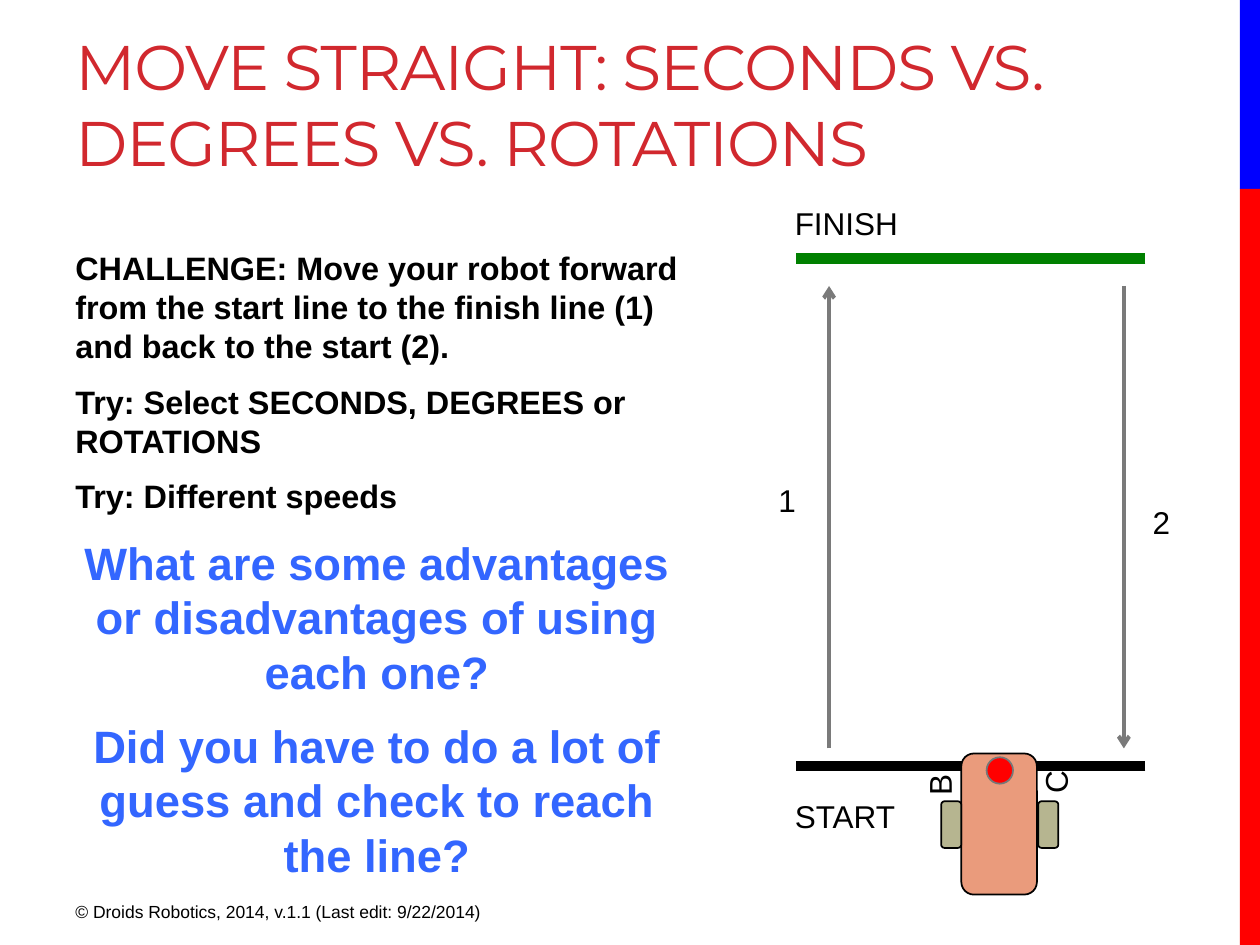
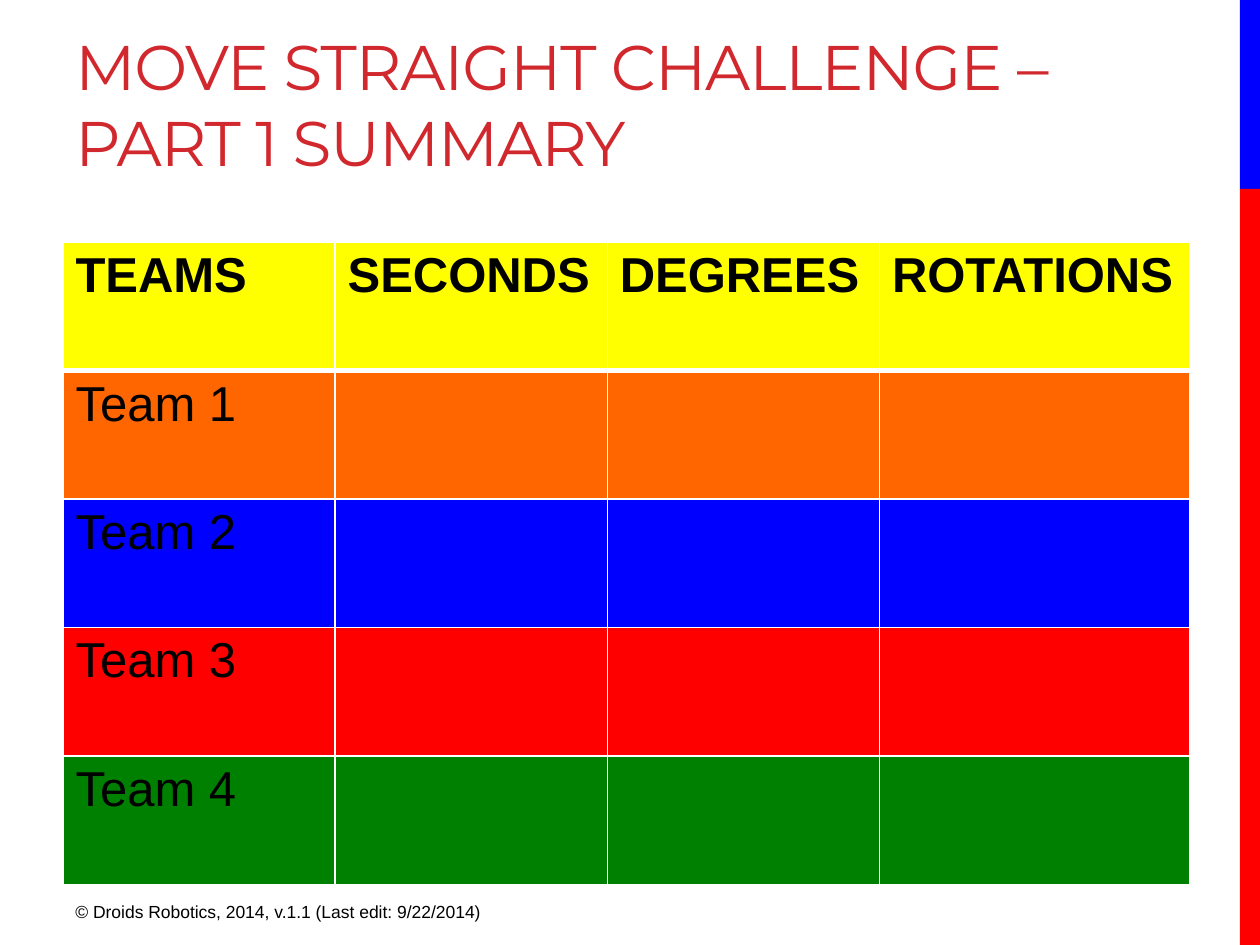
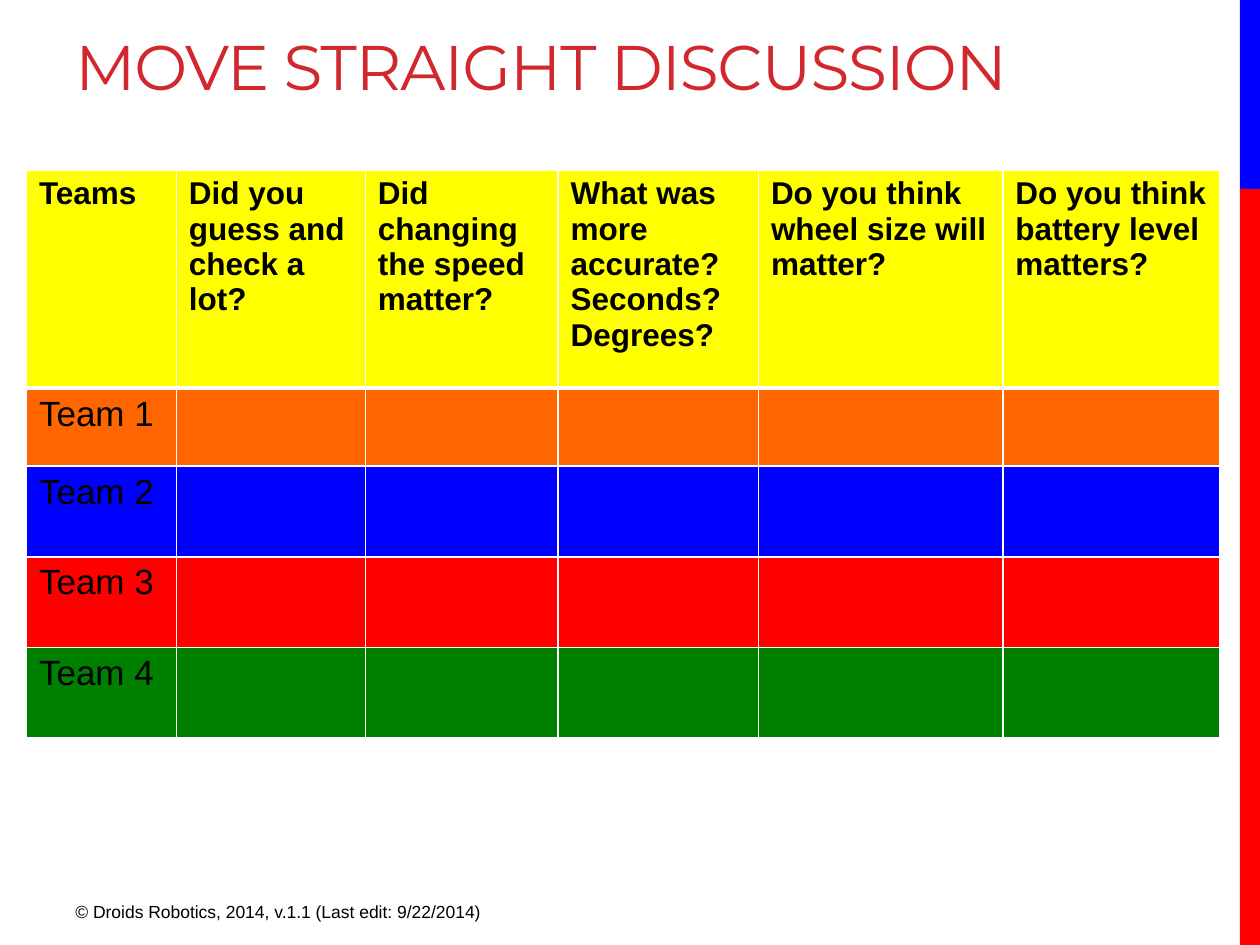
"""Build three slides on moving a robot straight: challenge, summary and discussion."""
import lxml.etree
import pptx
import pptx.dml.color
import pptx.enum.shapes
import pptx.enum.text
import pptx.oxml
import pptx.oxml.ns
import pptx.util

Inches = pptx.util.Inches
Pt = pptx.util.Pt
RGBColor = pptx.dml.color.RGBColor
SHAPE = pptx.enum.shapes.MSO_SHAPE
qn = pptx.oxml.ns.qn

BLACK = RGBColor(0x00, 0x00, 0x00)
WHITE = RGBColor(0xFF, 0xFF, 0xFF)
BLUE = RGBColor(0x00, 0x00, 0xFF)
RED = RGBColor(0xFF, 0x00, 0x00)
GREEN = RGBColor(0x00, 0x80, 0x00)
YELLOW = RGBColor(0xFF, 0xFF, 0x00)
ORANGE = RGBColor(0xFF, 0x66, 0x00)
TITLE_RED = RGBColor(0xD1, 0x28, 0x2E)
QUESTION_BLUE = RGBColor(0x33, 0x66, 0xFF)
ARROW_GRAY = RGBColor(0x7A, 0x7A, 0x7A)
SENSOR_GRAY = RGBColor(0x77, 0x77, 0x77)
BODY_SALMON = RGBColor(0xEA, 0x9B, 0x7C)
WHEEL_TAN = RGBColor(0xB6, 0xB5, 0x90)

TITLE = {"name": "Montserrat", "size": Pt(36), "color": TITLE_RED}
FOOTER = {"name": "Arial", "size": Pt(10), "color": BLACK}
LABEL = {"name": "Arial", "size": Pt(18), "color": BLACK}
TASK = {"name": "Arial", "size": Pt(18.5), "color": BLACK, "bold": True}
QUESTION = {"name": "Arial", "size": Pt(25.9), "color": QUESTION_BLUE, "bold": True}


def write(para, text, format_values):
    """Add a formatted run to a paragraph."""
    span = para.add_run()
    span.text = text
    for name, value in format_values.items():
        if name == "color":
            span.font.color.rgb = value
        else:
            setattr(span.font, name, value)
    return span


def add_block(shapes, at, kind=None, fill=None, line=None):
    """Add a wrapping text box, or a filled shape when a kind is given."""
    place = [Inches(length) for length in at]
    if kind is None:
        box = shapes.add_textbox(*place)
        box.text_frame.word_wrap = True
        return box
    box = shapes.add_shape(kind, *place)
    box.shadow.inherit = False
    box.fill.solid()
    box.fill.fore_color.rgb = fill
    if line is None:
        box.line.fill.background()
    else:
        box.line.color.rgb = line
        box.line.width = Pt(1)
    return box


deck = pptx.Presentation()
deck.slide_width = Inches(10)
deck.slide_height = Inches(7.5)

pages = []
for title in (
    "MOVE STRAIGHT: SECONDS VS. DEGREES VS. ROTATIONS",
    "MOVE STRAIGHT CHALLENGE – PART 1 SUMMARY",
    "MOVE STRAIGHT DISCUSSION",
):
    page = deck.slides.add_slide(deck.slide_layouts[6])
    add_block(page.shapes, (9.84, 0, 0.16, 1.5), SHAPE.RECTANGLE, BLUE)
    add_block(page.shapes, (9.84, 1.5, 0.16, 6), SHAPE.RECTANGLE, RED)
    box = add_block(page.shapes, (0.5, 0.17, 9.02, 1.5))
    span = write(box.text_frame.paragraphs[0], title, TITLE)
    span.font._element.set("spc", "-60")
    box = add_block(page.shapes, (0.5, 7.1, 3.75, 0.31))
    write(box.text_frame.paragraphs[0],
          "© Droids Robotics, 2014, v.1.1 (Last edit: 9/22/2014)", FOOTER)
    pages.append(page)

challenge, summary, discussion = pages

box = add_block(challenge.shapes, (0.5, 1.92, 4.98, 5.1))
body_lines = (
    ("CHALLENGE: Move your robot forward from the start line to the finish line (1) "
     "and back to the start (2).", TASK),
    ("Try: Select SECONDS, DEGREES or ROTATIONS", TASK),
    ("Try: Different speeds", TASK),
    ("What are some advantages or disadvantages of using each one?", QUESTION),
    ("Did you have to do a lot of guess and check to reach the line?", QUESTION),
)
for index, (text, style) in enumerate(body_lines):
    para = box.text_frame.paragraphs[0] if index == 0 else box.text_frame.add_paragraph()
    para.space_after = Pt(6)
    if index > 0:
        para.space_before = Pt(style["size"].pt * 0.2)
    if style is QUESTION:
        para.alignment = pptx.enum.text.PP_ALIGN.CENTER
    write(para, text, style)

for start_x, start_y, end_x, end_y, color, width, has_arrow in (
    (9.09, 2.05, 6.32, 2.05, GREEN, 6, False),
    (9.09, 6.08, 6.32, 6.08, BLACK, 6, False),
    (6.58, 5.94, 6.58, 2.27, ARROW_GRAY, 2.25, True),
    (8.92, 2.27, 8.92, 5.94, ARROW_GRAY, 2.25, True),
):
    track = challenge.shapes.add_connector(
        pptx.enum.shapes.MSO_CONNECTOR.STRAIGHT,
        Inches(start_x), Inches(start_y), Inches(end_x), Inches(end_y))
    track.line.color.rgb = color
    track.line.width = Pt(width)
    lxml.etree.SubElement(track._element.spPr, qn("a:effectLst"))
    if has_arrow:
        lxml.etree.SubElement(track.line._get_or_add_ln(), qn("a:tailEnd"), type="arrow")

for text, at in (
    ("1", (6.08, 3.77, 0.34, 0.4)),
    ("2", (9.05, 3.94, 0.34, 0.4)),
    ("FINISH", (6.21, 1.57, 1.03, 0.4)),
    ("START", (6.21, 6.28, 1, 0.4)),
):
    box = add_block(challenge.shapes, at)
    box.text_frame.word_wrap = len(text) == 1
    write(box.text_frame.paragraphs[0], text, LABEL)

robot = challenge.shapes.add_group_shape()
for at, kind, fill, line in (
    ((7.63, 5.98, 0.6, 1.12), SHAPE.ROUNDED_RECTANGLE, BODY_SALMON, BLACK),
    ((8.24, 6.36, 0.16, 0.37), SHAPE.ROUNDED_RECTANGLE, WHEEL_TAN, BLACK),
    ((7.47, 6.36, 0.16, 0.37), SHAPE.ROUNDED_RECTANGLE, WHEEL_TAN, BLACK),
    ((7.83, 6.01, 0.21, 0.21), SHAPE.OVAL, RED, SENSOR_GRAY),
):
    add_block(robot.shapes, at, kind, fill, line)
for motor, left, top in (("B", 7.18, 6.04), ("C", 8.1, 6.02)):
    box = add_block(robot.shapes, (left, top, 0.45, 0.3))
    box.rotation = 270
    write(box.text_frame.paragraphs[0], motor, LABEL)

row_fills = (YELLOW, ORANGE, BLUE, RED, GREEN)
tables = (
    (summary, 0.5, 1.92, (2.16, 2.16, 2.16, 2.46), (1.02,) * 5, 28, 28,
     ("TEAMS", "SECONDS", "DEGREES", "ROTATIONS")),
    (discussion, 0.21, 1.35, (1.19, 1.5, 1.53, 1.59, 1.94, 1.72),
     (1.73, 0.62, 0.72, 0.72, 0.72), 18, 20,
     ("Teams", "Did you guess and check a lot?", "Did changing the speed matter?",
      "What was more accurate? Seconds? Degrees?",
      "Do you think wheel size will matter?", "Do you think battery level matters?")),
)
for page, left, top, widths, heights, header_size, team_size, headers in tables:
    table = page.shapes.add_table(
        len(heights), len(widths), Inches(left), Inches(top),
        Inches(sum(widths)), Inches(sum(heights))).table
    table.horz_banding = False
    for column, width in zip(table.columns, widths):
        column.width = Inches(width)
    for row_index, (row, height) in enumerate(zip(table.rows, heights)):
        row.height = Inches(height)
        for column_index, cell in enumerate(row.cells):
            properties = cell._tc.get_or_add_tcPr()
            for side in "LRTB":
                is_header_rule = (row_index, side) in ((0, "B"), (1, "T"))
                border = lxml.etree.SubElement(
                    properties, qn("a:ln" + side), w=str(Pt(3 if is_header_rule else 1)))
                paint = lxml.etree.SubElement(border, qn("a:solidFill"))
                lxml.etree.SubElement(paint, qn("a:srgbClr"), val=str(WHITE))
            cell.fill.solid()
            cell.fill.fore_color.rgb = row_fills[row_index]
            para = cell.text_frame.paragraphs[0]
            if row_index == 0:
                write(para, headers[column_index],
                      {**LABEL, "size": Pt(header_size), "bold": True})
            elif column_index == 0:
                write(para, f"Team {row_index}",
                      {**LABEL, "size": Pt(team_size), "bold": False})

deck.save("out.pptx")
